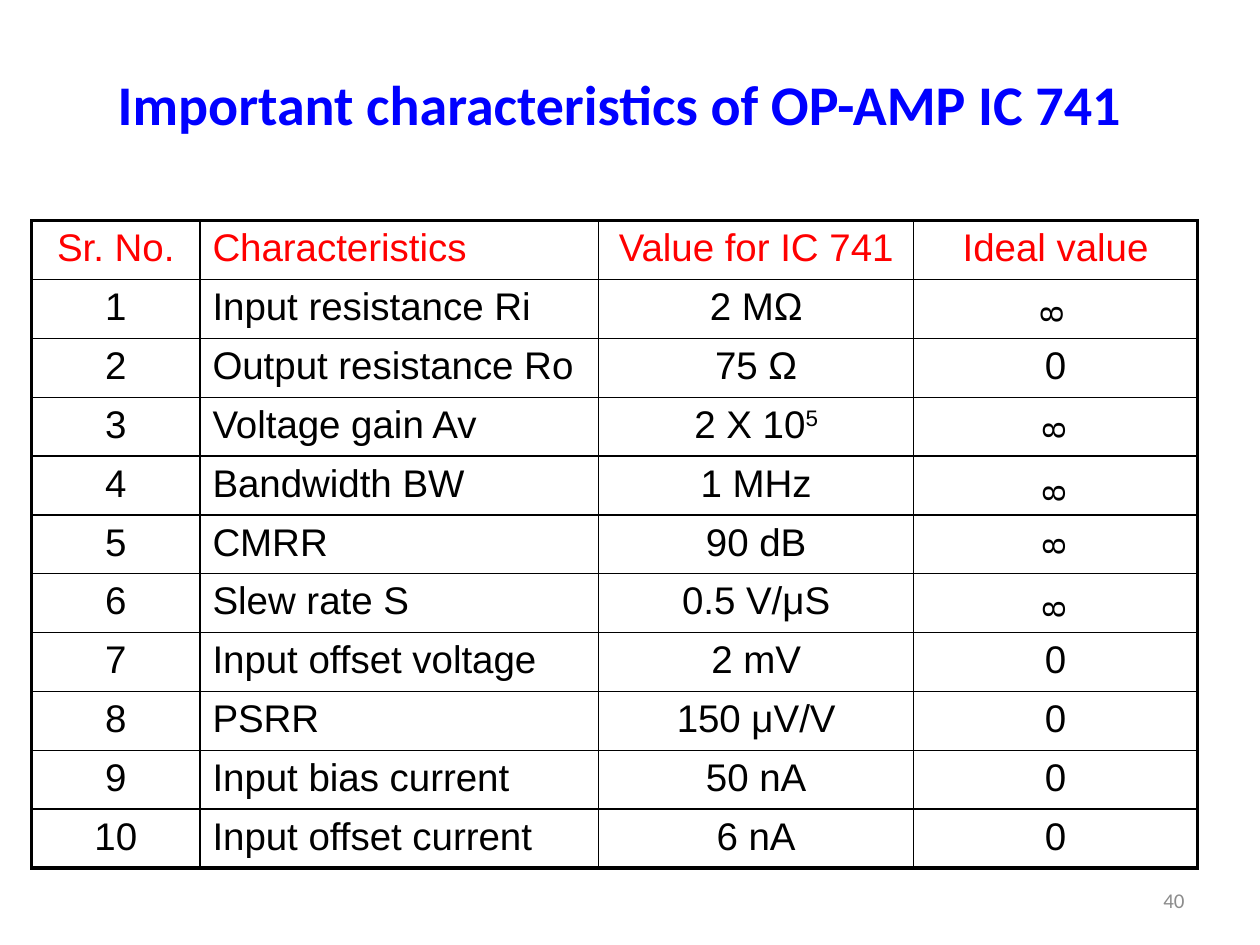
from dataclasses import dataclass

from lxml.etree import SubElement
from pptx import Presentation
from pptx.dml.color import RGBColor
from pptx.enum.text import MSO_ANCHOR, PP_ALIGN
from pptx.oxml.ns import qn
from pptx.util import Cm, Pt


@dataclass(frozen=True)
class Theme:
    heading_font: str = "Calibri"
    body_font: str = "Arial"
    heading: str = "0000FF"
    header: str = "FF0000"
    ink: str = "000000"
    muted: str = "8C8C8C"
    title_size: float = 32
    table_size: float = 22
    symbol_size: float = 18
    number_size: float = 12
    outer_line: float = 2.25
    inner_line: float = 1


class SlideBuilder:
    def __init__(self, slide, theme):
        self.slide = slide
        self.theme = theme

    def style(self, paragraph, font_name, size, color, align, bold=False):
        paragraph.alignment = align
        for run in paragraph.runs:
            run.font.name = font_name
            run.font.size = Pt(size)
            run.font.bold = bold
            run.font.color.rgb = RGBColor.from_string(color)

    def text(self, words, left, top, width, height, font_name, size, color,
             align=PP_ALIGN.LEFT, anchor=MSO_ANCHOR.MIDDLE, bold=False,
             wrap=True, rotation=0):
        box = self.slide.shapes.add_textbox(Cm(left), Cm(top), Cm(width), Cm(height))
        box.rotation = rotation
        frame = box.text_frame
        frame.word_wrap = wrap
        frame.vertical_anchor = anchor
        frame.text = words
        self.style(frame.paragraphs[0], font_name, size, color, align, bold)

    def infinity(self, left, top):
        self.text("8", left, top, 0.91, 1.09, self.theme.body_font,
                  self.theme.symbol_size, self.theme.ink,
                  anchor=MSO_ANCHOR.TOP, wrap=False, rotation=270)

    def borders(self, cell, outer_sides):
        properties = cell._tc.get_or_add_tcPr()
        for side in ("L", "R", "T", "B"):
            weight = self.theme.outer_line if side in outer_sides else self.theme.inner_line
            line = SubElement(properties, qn(f"a:ln{side}"), w=str(Pt(weight)))
            fill = SubElement(line, qn("a:solidFill"))
            SubElement(fill, qn("a:srgbClr"), val=self.theme.ink)

    def superscript(self, paragraph, words):
        run = paragraph.add_run()
        run.text = words
        run._r.get_or_add_rPr().set("baseline", "30000")

    def table(self, rows, left, top, widths, row_height, aligns, exponents):
        last_row, last_column = len(rows) - 1, len(widths) - 1
        frame = self.slide.shapes.add_table(
            len(rows), len(widths), Cm(left), Cm(top),
            Cm(sum(widths)), Cm(row_height * len(rows)))
        table = frame.table
        table.first_row = table.horz_banding = False
        for column, width in zip(table.columns, widths):
            column.width = Cm(width)
        for r, values in enumerate(rows):
            table.rows[r].height = Cm(row_height)
            color = self.theme.header if r == 0 else self.theme.ink
            for c, value in enumerate(values):
                cell = table.cell(r, c)
                edges = {"L": c == 0, "R": c == last_column,
                         "T": r == 0, "B": r == last_row}
                self.borders(cell, [side for side, outer in edges.items() if outer])
                cell.fill.background()
                cell.text_frame.text = value
                paragraph = cell.text_frame.paragraphs[0]
                if (r, c) in exponents:
                    self.superscript(paragraph, exponents[r, c])
                self.style(paragraph, self.theme.body_font, self.theme.table_size,
                           color, aligns[c])


CHARACTERISTICS = [
    ("Sr. No.", "Characteristics", "Value for IC 741", "Ideal value"),
    ("1", "Input resistance Ri", "2 MΩ", ""),
    ("2", "Output resistance Ro", "75 Ω", "0"),
    ("3", "Voltage gain Av", "2 X 10", ""),
    ("4", "Bandwidth BW", "1 MHz", ""),
    ("5", "CMRR", "90 dB", ""),
    ("6", "Slew rate S", "0.5 V/μS", ""),
    ("7", "Input offset voltage", "2 mV", "0"),
    ("8", "PSRR", "150 μV/V", "0"),
    ("9", "Input bias current", "50 nA", "0"),
    ("10", "Input offset current", "6 nA", "0"),
]
INFINITY_PLACES = [(20.75, 5.77), (20.8, 8.1), (20.8, 9.37), (20.8, 10.44), (20.8, 11.71)]


def main():
    presentation = Presentation()
    presentation.slide_width = Cm(25.4)
    presentation.slide_height = Cm(19.05)
    theme = Theme()
    builder = SlideBuilder(
        presentation.slides.add_slide(presentation.slide_layouts[6]), theme)

    builder.text("Important characteristics of OP-AMP IC 741", 0.43, 1.19, 24.13, 1.78,
                 theme.heading_font, theme.title_size, theme.heading,
                 PP_ALIGN.CENTER, bold=True)
    builder.table(CHARACTERISTICS, 0.64, 4.45, (3.39, 8.04, 6.35, 5.72), 1.185,
                  (PP_ALIGN.CENTER, PP_ALIGN.LEFT, PP_ALIGN.CENTER, PP_ALIGN.CENTER),
                  {(3, 2): "5"})
    for left, top in INFINITY_PLACES:
        builder.infinity(left, top)
    builder.text("40", 18.2, 17.65, 5.93, 1.01, theme.heading_font,
                 theme.number_size, theme.muted, PP_ALIGN.RIGHT)

    presentation.save("out.pptx")


if __name__ == "__main__":
    main()
